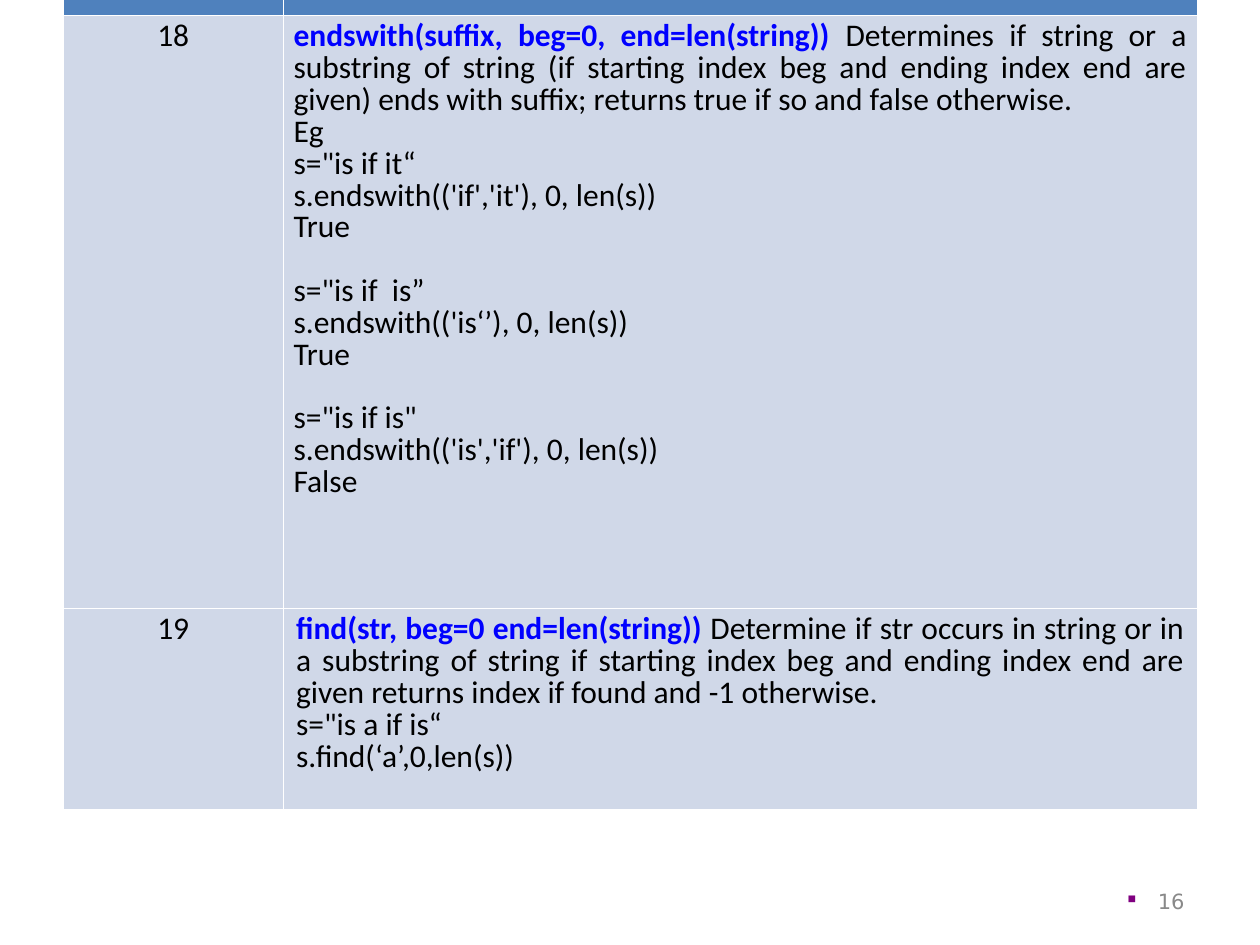
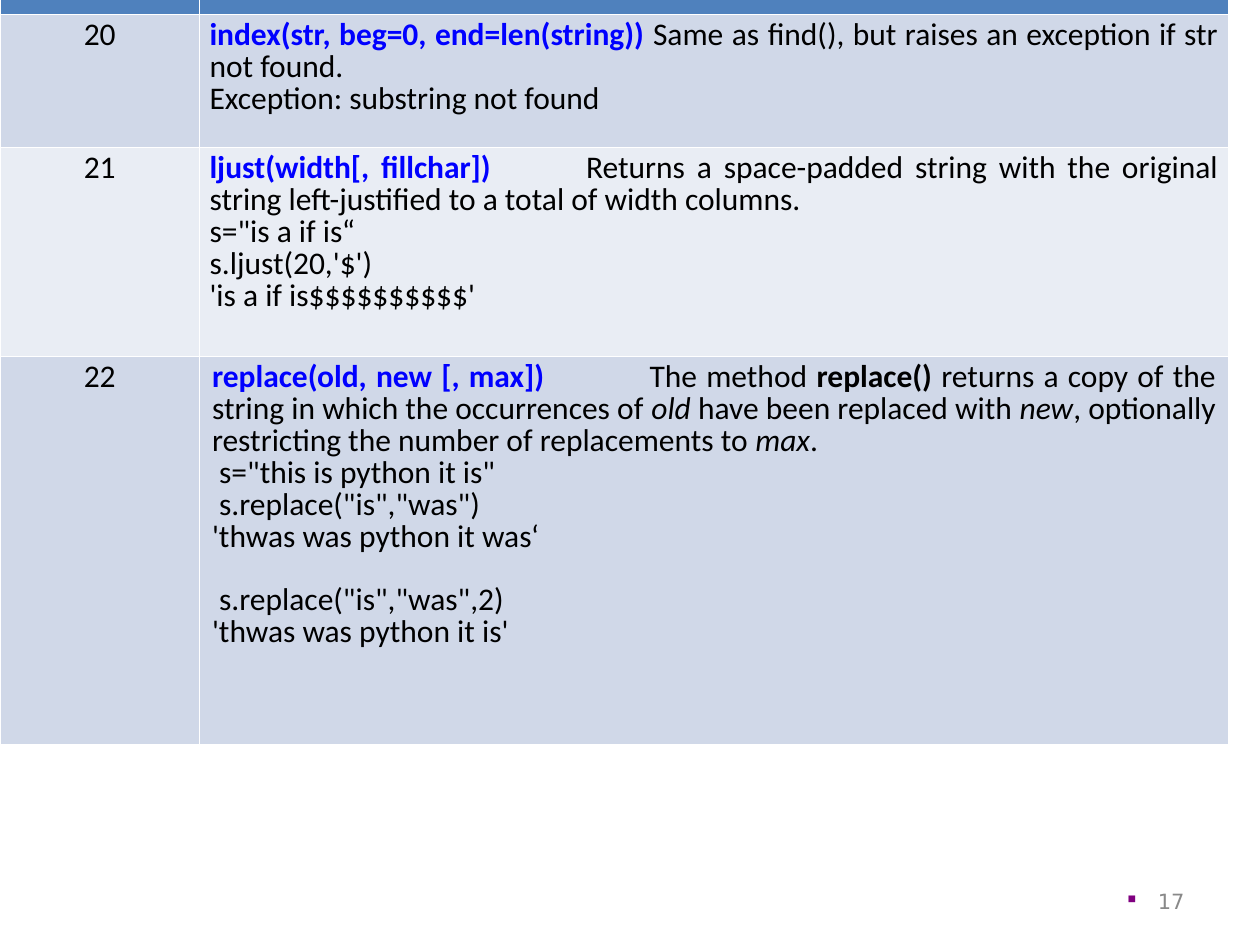
from dataclasses import dataclass

from lxml.etree import SubElement
from pptx import Presentation
from pptx.dml.color import RGBColor
from pptx.enum.text import MSO_ANCHOR, PP_ALIGN
from pptx.oxml.ns import qn
from pptx.util import Inches, Pt

GRID_COLUMNS, GRID_ROWS = 120, 90
HEADER_FILL, DARK_BAND, LIGHT_BAND = "4F81BD", "D0D8E8", "E9EDF4"
BORDER_COLOUR, BORDER_WIDTH = "FFFFFF", Pt(0.11)
BULLET_COLOUR = "800080"
EXAMPLE_GAP = 18

PLAIN = {"name": "Calibri", "size": Pt(18), "colour": "000000"}
SIGNATURE = PLAIN | {"colour": "0000FF", "bold": True}
BOLD = PLAIN | {"bold": True}
ITALIC = PLAIN | {"italic": True}
PAGE_NUMBER = {"name": "DejaVu Sans", "size": Pt(12), "colour": "898989"}


@dataclass
class Method:
    """A table row; each inner list of examples is set apart by a gap."""
    number: int
    height: float
    signature: str
    description: list
    examples: list
    tab: float = 0
    band: str = DARK_BAND
    inset: float = 0.08


def colour(value):
    return RGBColor.from_string(value)


def apply_format(target, values):
    for name, value in values.items():
        if name == "colour":
            target.color.rgb = colour(value)
        else:
            setattr(target, name, value)


class Deck:
    def __init__(self):
        self.presentation = Presentation()
        self.presentation.slide_width = Inches(10)
        self.presentation.slide_height = Inches(7.5)
        self.slide = None

    def across(self, columns):
        return round(self.presentation.slide_width * columns / GRID_COLUMNS)

    def down(self, rows):
        return round(self.presentation.slide_height * rows / GRID_ROWS)

    def add_slide(self):
        layout = self.presentation.slide_layouts[6]
        self.slide = self.presentation.slides.add_slide(layout)

    def add_runs(self, paragraph, runs, **values):
        apply_format(paragraph, values)
        for text, style in runs:
            run = paragraph.add_run()
            run.text = text
            apply_format(run.font, style)

    def style_cell(self, cell, fill, inset):
        apply_format(cell, {"margin_left": Inches(inset), "margin_right": Inches(inset),
                            "margin_top": Inches(0.05), "margin_bottom": Inches(0.05)})
        properties = cell._tc.get_or_add_tcPr()
        for side in ("lnL", "lnR", "lnT", "lnB"):
            line = SubElement(properties, qn(f"a:{side}"), w=str(BORDER_WIDTH))
            solid = SubElement(line, qn("a:solidFill"))
            SubElement(solid, qn("a:srgbClr"), val=BORDER_COLOUR)
        cell.fill.solid()
        cell.fill.fore_color.rgb = colour(fill)

    def add_tab(self, paragraph, position):
        tabs = SubElement(paragraph._p.get_or_add_pPr(), qn("a:tabLst"))
        SubElement(tabs, qn("a:tab"), pos=str(Inches(position)), algn="l")

    def fill_description(self, cell, method):
        frame = cell.text_frame
        first = frame.paragraphs[0]
        body = {"alignment": PP_ALIGN.JUSTIFY, "line_spacing": 0.83}
        if method.tab:
            self.add_tab(first, method.tab)
        self.add_runs(first, [(method.signature, SIGNATURE), *method.description], **body)
        for block_index, block in enumerate(method.examples):
            for line_index, line in enumerate(block):
                gap = EXAMPLE_GAP if block_index and not line_index else 0
                self.add_runs(frame.add_paragraph(), [(line, PLAIN)],
                              space_before=Pt(gap), **body)

    def add_method_table(self, left, widths, header_height, methods):
        heights = [header_height, *(method.height for method in methods)]
        table = self.slide.shapes.add_table(
            len(heights), len(widths), self.across(left), self.down(-4),
            self.across(sum(widths)), self.down(sum(heights))).table
        for column, width in zip(table.columns, widths):
            column.width = self.across(width)
        for row, height in zip(table.rows, heights):
            row.height = self.down(height)
        for cell in table.rows[0].cells:
            self.style_cell(cell, HEADER_FILL, 0.1)
        for row, method in zip(list(table.rows)[1:], methods):
            number_cell, description_cell = row.cells
            for cell in row.cells:
                self.style_cell(cell, method.band, method.inset)
            self.add_runs(number_cell.text_frame.paragraphs[0],
                          [(str(method.number), PLAIN)],
                          alignment=PP_ALIGN.CENTER, line_spacing=0.83)
            self.fill_description(description_cell, method)

    def add_page_number(self, number):
        box = self.slide.shapes.add_textbox(
            self.across(86), self.down(83.4), self.across(28), self.down(4.8))
        frame = box.text_frame
        apply_format(frame, {"word_wrap": True, "vertical_anchor": MSO_ANCHOR.MIDDLE})
        paragraph = frame.paragraphs[0]
        properties = paragraph._p.get_or_add_pPr()
        properties.set("marL", str(Inches(0.24)))
        properties.set("indent", str(-Inches(0.24)))
        bullet_colour = SubElement(properties, qn("a:buClr"))
        SubElement(bullet_colour, qn("a:srgbClr"), val=BULLET_COLOUR)
        SubElement(properties, qn("a:buSzPct"), val="55000")
        SubElement(properties, qn("a:buChar"), char="■")
        self.add_runs(paragraph, [(str(number), PAGE_NUMBER)], alignment=PP_ALIGN.RIGHT)


SEARCH_METHODS = [
    Method(18, 56.5, "endswith(suffix, beg=0, end=len(string))",
           [(" Determines if string or a substring of string (if starting index beg and "
             "ending index end are given) ends with suffix; returns true if so and false "
             "otherwise.", PLAIN)],
           [["Eg", "s=\"is if it“", "s.endswith(('if','it'), 0, len(s))", "True"],
            ["s=\"is if  is”", "s.endswith(('is‘’), 0, len(s))", "True"],
            ["s=\"is if is\"", "s.endswith(('is','if'), 0, len(s))", "False"]]),
    Method(19, 19.2, "find(str, beg=0 end=len(string))",
           [(" Determine if str occurs in string or in a substring of string if starting "
             "index beg and ending index end are given returns index if found and -1 "
             "otherwise.", PLAIN)],
           [["s=\"is a if is“", "s.find(‘a’,0,len(s))"]], inset=0.1),
]

CHANGE_METHODS = [
    Method(20, 12.7, "index(str, beg=0, end=len(string))",
           [(" Same as find(), but raises an exception if str not found.", PLAIN)],
           [["Exception: substring not found"]]),
    Method(21, 19.9, "ljust(width[, fillchar])",
           [("\tReturns a space-padded string with the original string left-justified to "
             "a total of width columns.", PLAIN)],
           [["s=\"is a if is“", "s.ljust(20,'$')", "'is a if is$$$$$$$$$$'"]],
           tab=2.95, band=LIGHT_BAND),
    Method(22, 37, "replace(old, new [, max])",
           [("\tThe method ", PLAIN), ("replace()", BOLD),
            (" returns a copy of the string in which the occurrences of ", PLAIN),
            ("old", ITALIC), (" have been replaced with ", PLAIN),
            ("new", ITALIC),
            (", optionally restricting the number of replacements to ", PLAIN),
            ("max", ITALIC), (".", PLAIN)],
           [[" s=\"this is python it is\"", " s.replace(\"is\",\"was\")",
             "'thwas was python it was‘"],
            [" s.replace(\"is\",\"was\",2)", "'thwas was python it is'"]],
           tab=3.42, inset=0.1),
]


def main():
    deck = Deck()
    pages = [(16, 6, (21, 87), 5.4, SEARCH_METHODS),
             (17, 0, (19, 98), 5.3, CHANGE_METHODS)]
    for page_number, left, widths, header_height, methods in pages:
        deck.add_slide()
        deck.add_method_table(left, widths, header_height, methods)
        deck.add_page_number(page_number)
    deck.presentation.save("out.pptx")


if __name__ == "__main__":
    main()
